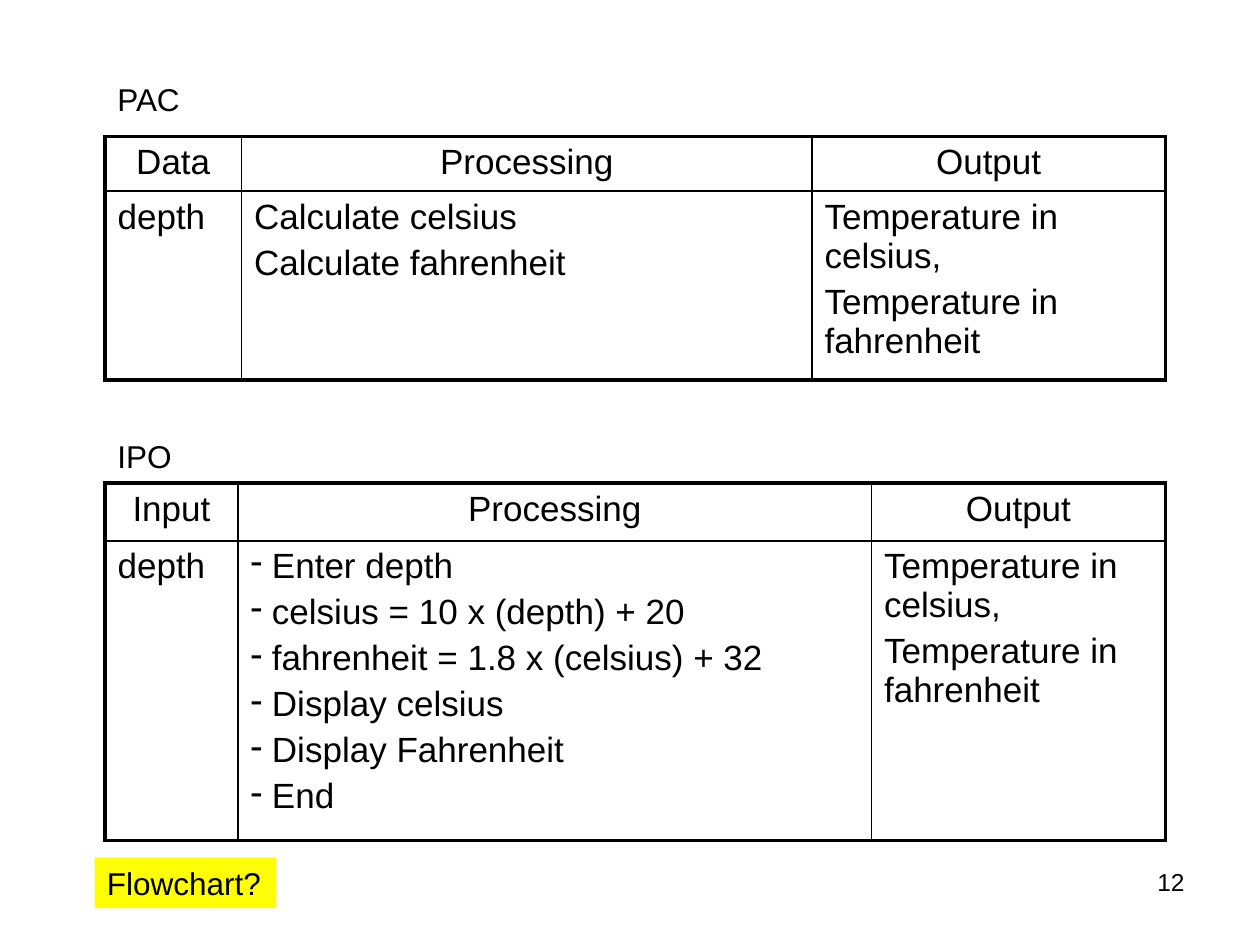
from dataclasses import dataclass

from lxml import etree
from pptx import Presentation
from pptx.dml.color import RGBColor
from pptx.enum.text import MSO_AUTO_SIZE, PP_ALIGN
from pptx.oxml.ns import qn
from pptx.util import Pt

LEFT, CENTER, RIGHT = PP_ALIGN.LEFT, PP_ALIGN.CENTER, PP_ALIGN.RIGHT
FIT_SHAPE = MSO_AUTO_SIZE.SHAPE_TO_FIT_TEXT
BLANK_LAYOUT = 6


@dataclass(frozen=True)
class Theme:
    font: str = "Arial"
    ink: str = "000000"
    highlight: str = "FFFF00"
    table_size: float = 20
    label_size: float = 18
    number_size: float = 14
    paragraph_gap: float = 4
    dash_indent: float = 12.2
    outer_line: float = 2.25
    inner_line: float = 1


THEME = Theme()
RESULTS = ["Temperature in celsius,", "Temperature in fahrenheit"]
STEPS = [
    "Enter depth",
    "celsius = 10 x (depth) + 20",
    "fahrenheit = 1.8 x (celsius) + 32",
    "Display celsius",
    "Display Fahrenheit",
    "End",
]


def format_paragraph(paragraph, size, alignment=LEFT):
    paragraph.alignment = alignment
    paragraph.font.name = THEME.font
    paragraph.font.size = Pt(size)
    paragraph.font.color.rgb = RGBColor.from_string(THEME.ink)


def add_dash(paragraph):
    properties = paragraph._p.get_or_add_pPr()
    properties.set("marL", str(Pt(THEME.dash_indent)))
    properties.set("indent", str(-Pt(THEME.dash_indent)))
    etree.SubElement(properties, qn("a:buChar"), char="-")


def set_border(cell, side, width):
    """Draw one side of a cell; side is L, R, T or B."""
    line = etree.SubElement(cell._tc.get_or_add_tcPr(), qn(f"a:ln{side}"), w=str(Pt(width)))
    fill = etree.SubElement(line, qn("a:solidFill"))
    etree.SubElement(fill, qn("a:srgbClr"), val=THEME.ink)


def fill_cell(cell, lines, alignment, dashed):
    frame = cell.text_frame
    for index, line in enumerate(lines):
        paragraph = frame.add_paragraph() if index else frame.paragraphs[0]
        paragraph.text = line
        if dashed:
            add_dash(paragraph)
        if index:
            paragraph.space_before = Pt(THEME.paragraph_gap)
        format_paragraph(paragraph, THEME.table_size, alignment)


def add_analysis_table(slide, left, top, column_widths, row_heights, headings, contents, dashed_column=None):
    row_count, column_count = len(row_heights), len(column_widths)
    table = slide.shapes.add_table(
        row_count, column_count, Pt(left), Pt(top), Pt(sum(column_widths)), Pt(sum(row_heights))
    ).table
    table.first_row = table.horz_banding = False
    for column, width in zip(table.columns, column_widths):
        column.width = Pt(width)
    for row, height in zip(table.rows, row_heights):
        row.height = Pt(height)

    rows = [[[heading] for heading in headings], contents]
    for r, row_cells in enumerate(rows):
        for c, lines in enumerate(row_cells):
            cell = table.cell(r, c)
            is_heading = r == 0
            fill_cell(cell, lines, CENTER if is_heading else LEFT, not is_heading and c == dashed_column)
            on_edge = {"L": c == 0, "R": c == column_count - 1, "T": r == 0, "B": r == row_count - 1}
            for side, outer in on_edge.items():
                set_border(cell, side, THEME.outer_line if outer else THEME.inner_line)
            cell.fill.background()


def add_label(slide, text, left, top, width, height, size=THEME.label_size, alignment=LEFT, wrap=False, fill=None):
    box = slide.shapes.add_textbox(Pt(left), Pt(top), Pt(width), Pt(height))
    frame = box.text_frame
    frame.word_wrap = wrap
    if not wrap:
        frame.auto_size = FIT_SHAPE
    if fill:
        box.fill.solid()
        box.fill.fore_color.rgb = RGBColor.from_string(fill)
    paragraph = frame.paragraphs[0]
    paragraph.text = text
    format_paragraph(paragraph, size, alignment)


def main():
    presentation = Presentation()
    presentation.slide_width, presentation.slide_height = Pt(720), Pt(540)
    slide = presentation.slides.add_slide(presentation.slide_layouts[BLANK_LAYOUT])

    add_label(slide, "PAC", 60, 42, 50, 29)
    add_analysis_table(
        slide, 60, 78, [78, 326, 202], [31, 108],
        ["Data", "Processing", "Output"],
        [["depth"], ["Calculate celsius", "Calculate fahrenheit"], RESULTS],
    )
    add_label(slide, "IPO", 60, 246, 46, 29)
    add_analysis_table(
        slide, 60, 276, [76, 362, 168], [33, 165],
        ["Input", "Processing", "Output"],
        [["depth"], STEPS, RESULTS],
        dashed_column=1,
    )
    add_label(slide, "Flowchart?", 54, 490, 104, 29, fill=THEME.highlight)
    add_label(slide, "12", 516, 492, 168, 37, THEME.number_size, RIGHT, wrap=True)
    presentation.save("out.pptx")


if __name__ == "__main__":
    main()
